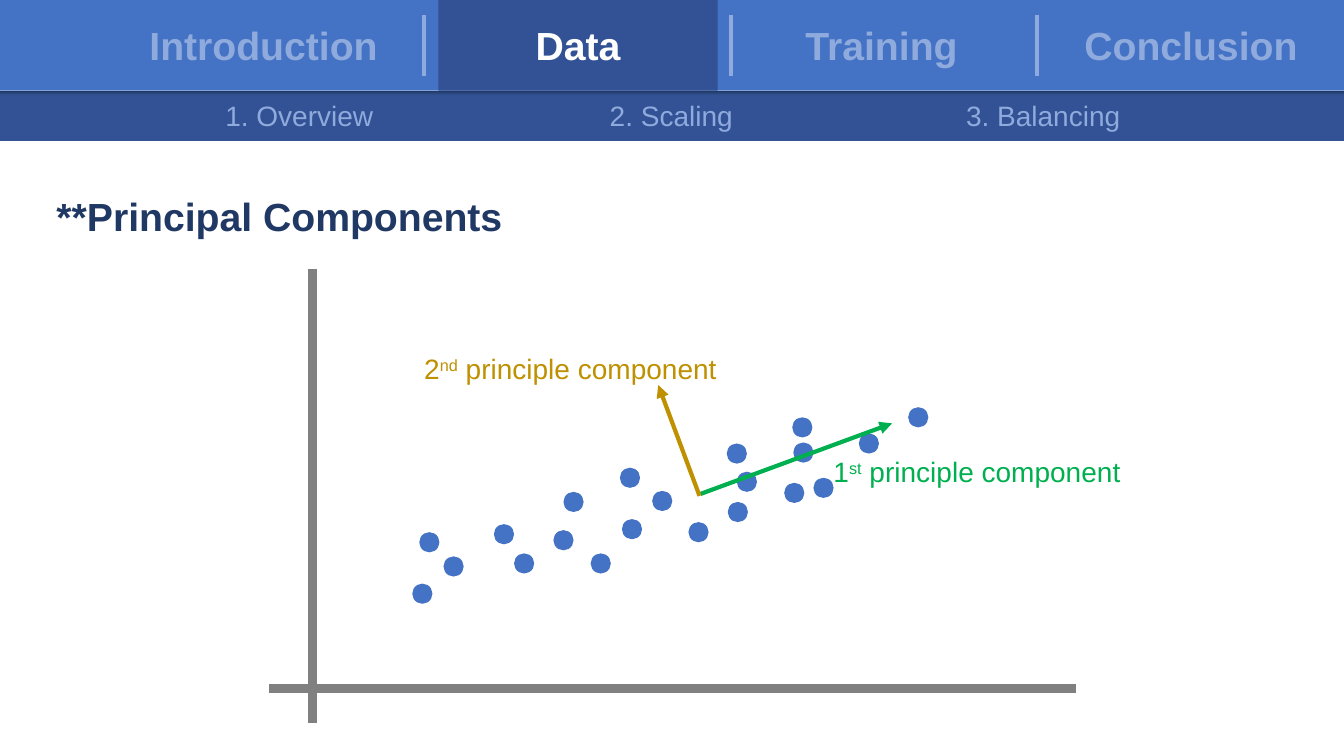
from lxml import etree
from pptx import Presentation
from pptx import util as u
from pptx.dml.color import RGBColor
from pptx.enum import shapes, text
from pptx.oxml.ns import qn

BLUE = RGBColor(0x44, 0x72, 0xC4)
DEEP = RGBColor(0x33, 0x52, 0x95)
NAVY = RGBColor(0x20, 0x38, 0x64)
PALE = RGBColor(0x8F, 0xAA, 0xDC)
WHITE = RGBColor(0xFF, 0xFF, 0xFF)
GREY = RGBColor(0x80, 0x80, 0x80)
GREEN = RGBColor(0x00, 0xB0, 0x50)
GOLD = RGBColor(0xBF, 0x90, 0x00)

COLS, ROWS = 133.33, 75
TABS = {"Introduction": 12.3, "Data": 43.5, "Training": 73.6, "Conclusion": 104.3}
TOPICS = ["1. Overview", "2. Scaling", "3. Balancing"]
ACTIVE = "Data"
DOT = 2
POINTS = [
    (40.9, 57.9), (41.6, 52.8), (44, 55.2), (49, 52), (51, 54.9), (54.9, 52.6),
    (55.9, 48.8), (58.6, 54.9), (61.5, 46.4), (61.7, 51.5), (64.7, 48.7),
    (68.3, 51.8), (72.1, 44), (72.2, 49.8), (73.1, 46.8), (77.8, 47.9),
    (78.6, 41.4), (78.7, 43.9), (80.7, 47.4), (85.2, 43), (90.1, 40.4),
]


def cells(*lengths):
    """Turn grid cells (a tenth of an inch each) into slide lengths."""
    return [u.Inches(n / 10) for n in lengths]


def write(sp, *parts, size=20, color=PALE, bold=False,
          align=text.PP_ALIGN.LEFT, anchor=text.MSO_ANCHOR.TOP):
    """Fill a shape with one line; every second part is superscript."""
    tf = sp.text_frame
    tf.word_wrap = False
    tf.auto_size = text.MSO_AUTO_SIZE.NONE
    tf.vertical_anchor = anchor
    p = tf.paragraphs[0]
    p.alignment = align
    p.line_spacing = 1.0
    for i, part in enumerate(parts):
        r = p.add_run()
        r.text = part
        f = r.font
        f.name, f.size, f.bold = "Arial", u.Pt(size), bold
        f.color.rgb = color
        if i % 2:
            r._r.get_or_add_rPr().set("baseline", "30000")


class Deck:
    """The presentation, its grid and the slide being drawn."""

    def __init__(self):
        self.prs = Presentation()
        self.prs.slide_width, self.prs.slide_height = cells(COLS, ROWS)
        self.s = self.prs.slides.add_slide(self.prs.slide_layouts[5])

    def title(self, box, words):
        sp = self.s.shapes.title
        sp.left, sp.top, sp.width, sp.height = cells(*box)
        write(sp, words, size=28, color=NAVY, bold=True)

    def shape(self, box, fill, kind=shapes.MSO_SHAPE.RECTANGLE):
        sp = self.s.shapes.add_shape(kind, *cells(*box))
        sp.shadow.inherit = False
        sp.line.fill.background()
        sp.fill.solid()
        sp.fill.fore_color.rgb = fill
        return sp

    def band(self, box, low, high):
        """Draw a bar that darkens only along its top edge."""
        fill = self.shape(box, low).fill
        fill.gradient()
        fill.gradient_angle = 90
        for stop, color, pos in zip(fill.gradient_stops, (low, high), (0.9, 1)):
            stop.color.rgb, stop.position = color, pos

    def label(self, box, *parts, **style):
        write(self.s.shapes.add_textbox(*cells(*box)), *parts, **style)

    def line(self, start, end, color, width=3, arrow=False):
        c = self.s.shapes.add_connector(
            shapes.MSO_CONNECTOR.STRAIGHT, *cells(*start, *end))
        c.line.color.rgb = color
        c.line.width = u.Pt(width)
        if arrow:
            etree.SubElement(c.line._get_or_add_ln(), qn("a:tailEnd"), type="triangle")
        etree.SubElement(c._element.spPr, qn("a:effectLst"))


def draw_navigation(deck):
    centred = text.PP_ALIGN.CENTER
    deck.shape((0, 0, COLS, 9), BLUE)
    deck.band((0, 9, COLS, 5), DEEP, NAVY)
    for i in range(len(TABS) - 1):
        x = 42.1 + 30.4 * i
        deck.line((x, 1.5), (x, 7.5), PALE)
    for name, left in TABS.items():
        box = (left, 0, 27.7, 9)
        if name == ACTIVE:
            deck.shape(box, DEEP)
        deck.label(box, name, size=28, bold=True, align=centred,
                   color=WHITE if name == ACTIVE else PALE,
                   anchor=text.MSO_ANCHOR.MIDDLE)
    for i, topic in enumerate(TOPICS):
        deck.label((21.2 + 36.9 * i, 9.3, 17, 4.4), topic, align=centred)


def draw_scatter(deck):
    deck.line((31, 26.7), (31, 71.7), GREY, width=6)
    deck.line((26.7, 68.3), (106.7, 68.3), GREY, width=6)
    for x, y in POINTS:
        deck.shape((x, y, DOT, DOT), BLUE, shapes.MSO_SHAPE.OVAL)
    deck.line((69.5, 49), (88.5, 42), GREEN, arrow=True)
    deck.label((81.7, 44.6, 30.9, 4.4), "1", "st", " principle component", color=GREEN)
    deck.line((69.4, 49.2), (65.3, 38.2), GOLD, arrow=True)
    deck.label((41.1, 34.4, 31.5, 4.4), "2", "nd", " principle component", color=GOLD)


def main():
    deck = Deck()
    draw_navigation(deck)
    deck.title((4.6, 18.6, 47.9, 5.7), "**Principal Components")
    draw_scatter(deck)
    deck.prs.save("out.pptx")


if __name__ == "__main__":
    main()
